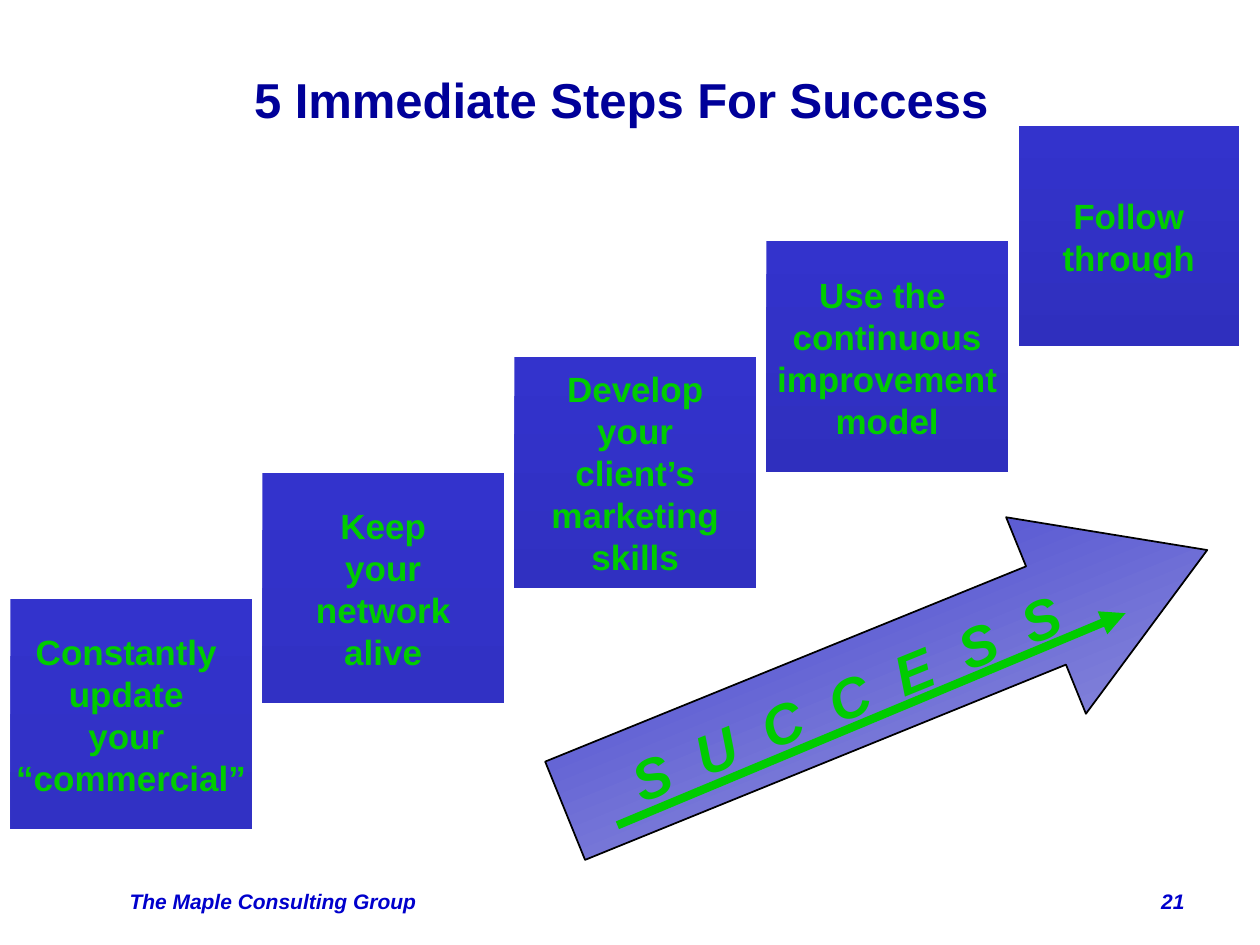
import pptx
import pptx.util
import pptx.dml.color
import pptx.enum.shapes
import pptx.enum.text
import pptx.oxml
import pptx.oxml.ns

EMU_PER_PX = 914400 // 120

NAVY = pptx.dml.color.RGBColor(0x00, 0x00, 0x99)
BLUE = pptx.dml.color.RGBColor(0x00, 0x00, 0xCC)
GREEN = pptx.dml.color.RGBColor(0x00, 0xCC, 0x00)
BLACK = pptx.dml.color.RGBColor(0x00, 0x00, 0x00)
STEP_TOP = pptx.dml.color.RGBColor(0x33, 0x33, 0xCC)
LOW_STEP_BASE = pptx.dml.color.RGBColor(0x31, 0x31, 0xC4)
MIDDLE_STEP_BASE = pptx.dml.color.RGBColor(0x30, 0x30, 0xC1)
HIGH_STEP_BASE = pptx.dml.color.RGBColor(0x2F, 0x2F, 0xBE)
ARROW_BASE = pptx.dml.color.RGBColor(0xA8, 0xA8, 0xE0)

ALIGN = pptx.enum.text.PP_ALIGN
ANCHOR = pptx.enum.text.MSO_ANCHOR
SHAPE = pptx.enum.shapes.MSO_SHAPE


def px(*lengths):
    return [pptx.util.Emu(length * EMU_PER_PX) for length in lengths]


class SlideBuilder:
    """Holds the text styles and the slide being built."""

    title_style = {"size": 28, "color": NAVY}
    step_style = {"size": 20, "color": GREEN}
    arrow_style = {"size": 32, "color": GREEN, "italic": True}
    footer_style = {"size": 12, "color": BLUE, "italic": True}

    def __init__(self, presentation):
        self.slide = presentation.slides.add_slide(presentation.slide_layouts[5])

    def set_text(self, shape, lines, style, alignment, anchor, wrap):
        frame = shape.text_frame
        frame.word_wrap = wrap
        frame.auto_size = pptx.enum.text.MSO_AUTO_SIZE.NONE
        frame.vertical_anchor = anchor
        font_values = {
            "name": "Arial",
            "bold": True,
            "italic": style.get("italic", False),
            "size": pptx.util.Pt(style["size"]),
        }
        for index, line in enumerate(lines):
            paragraph = frame.add_paragraph() if index else frame.paragraphs[0]
            paragraph.alignment = alignment
            run = paragraph.add_run()
            run.text = line
            for name, value in font_values.items():
                setattr(run.font, name, value)
            run.font.color.rgb = style["color"]

    def title(self, text, left, top, width, height):
        shape = self.slide.shapes.title
        box = zip(("left", "top", "width", "height"), px(left, top, width, height))
        for name, value in box:
            setattr(shape, name, value)
        self.set_text(shape, [text], self.title_style, ALIGN.LEFT, ANCHOR.TOP, True)

    def footer(self, text, left, top, width, height, alignment):
        shape = self.slide.shapes.add_textbox(*px(left, top, width, height))
        self.set_text(shape, [text], self.footer_style, alignment, ANCHOR.TOP, True)

    def gradient_shape(self, kind, box, base_color, lines, style):
        shape = self.slide.shapes.add_shape(kind, *px(*box))
        shape.shadow.inherit = False
        shape.fill.gradient()
        shape.fill.gradient_angle = 270
        for stop, color in zip(shape.fill.gradient_stops, (STEP_TOP, base_color)):
            stop.color.rgb = color
        shape.line.fill.background()
        self.set_text(shape, lines, style, ALIGN.CENTER, ANCHOR.MIDDLE, False)
        return shape

    def step(self, box, base_color, lines):
        self.gradient_shape(SHAPE.RECTANGLE, box, base_color, lines, self.step_style)

    def block_arrow(self, text, box, rotation):
        shape = self.gradient_shape(
            SHAPE.RIGHT_ARROW, box, ARROW_BASE, [text], self.arrow_style)
        shape.rotation = rotation
        shape.adjustments[0] = 0.5
        shape.adjustments[1] = 0.82
        shape.line.color.rgb = BLACK
        shape.line.width = pptx.util.Pt(1)

    def arrow_line(self, start, end):
        connector = self.slide.shapes.add_connector(
            pptx.enum.shapes.MSO_CONNECTOR.STRAIGHT, *px(*start, *end))
        connector.line.color.rgb = GREEN
        connector.line.width = pptx.util.Pt(4.75)
        namespace = pptx.oxml.ns.nsdecls("a")
        properties = connector.element.spPr
        line = properties.find(pptx.oxml.ns.qn("a:ln"))
        line.append(pptx.oxml.parse_xml(f'<a:tailEnd {namespace} type="triangle"/>'))
        properties.append(pptx.oxml.parse_xml(f"<a:effectLst {namespace}/>"))


def main():
    presentation = pptx.Presentation()
    presentation.slide_width, presentation.slide_height = px(1200, 900)
    builder = SlideBuilder(presentation)

    # Footer and title
    builder.footer("The Maple Consulting Group", 70, 840, 380, 60, ALIGN.CENTER)
    builder.footer("21", 890, 840, 250, 60, ALIGN.RIGHT)
    builder.title("5 Immediate Steps For Success", 230, 60, 750, 68)

    # Staircase of steps: top, width, height, base colour, lines
    steps = [
        (570, 230, 220, LOW_STEP_BASE,
         ["Constantly ", "update ", "your ", "“commercial”"]),
        (450, 230, 220, LOW_STEP_BASE, ["Keep", "your", "network", "alive"]),
        (340, 230, 220, MIDDLE_STEP_BASE,
         ["Develop", "your", "client’s", "marketing", "skills"]),
        (230, 230, 220, HIGH_STEP_BASE,
         ["Use the ", "continuous", "improvement", "model"]),
        (120, 210, 210, HIGH_STEP_BASE, ["Follow", "through"]),
    ]
    for index, (top, width, height, base_color, lines) in enumerate(steps):
        builder.step((10 + 240 * index, top, width, height), base_color, lines)

    # Success arrow
    builder.block_arrow("S  U  C  C  E  S  S", (514, 547, 660, 202), 337.9)
    builder.arrow_line((588, 786), (1072, 584))

    presentation.save("out.pptx")


if __name__ == "__main__":
    main()
